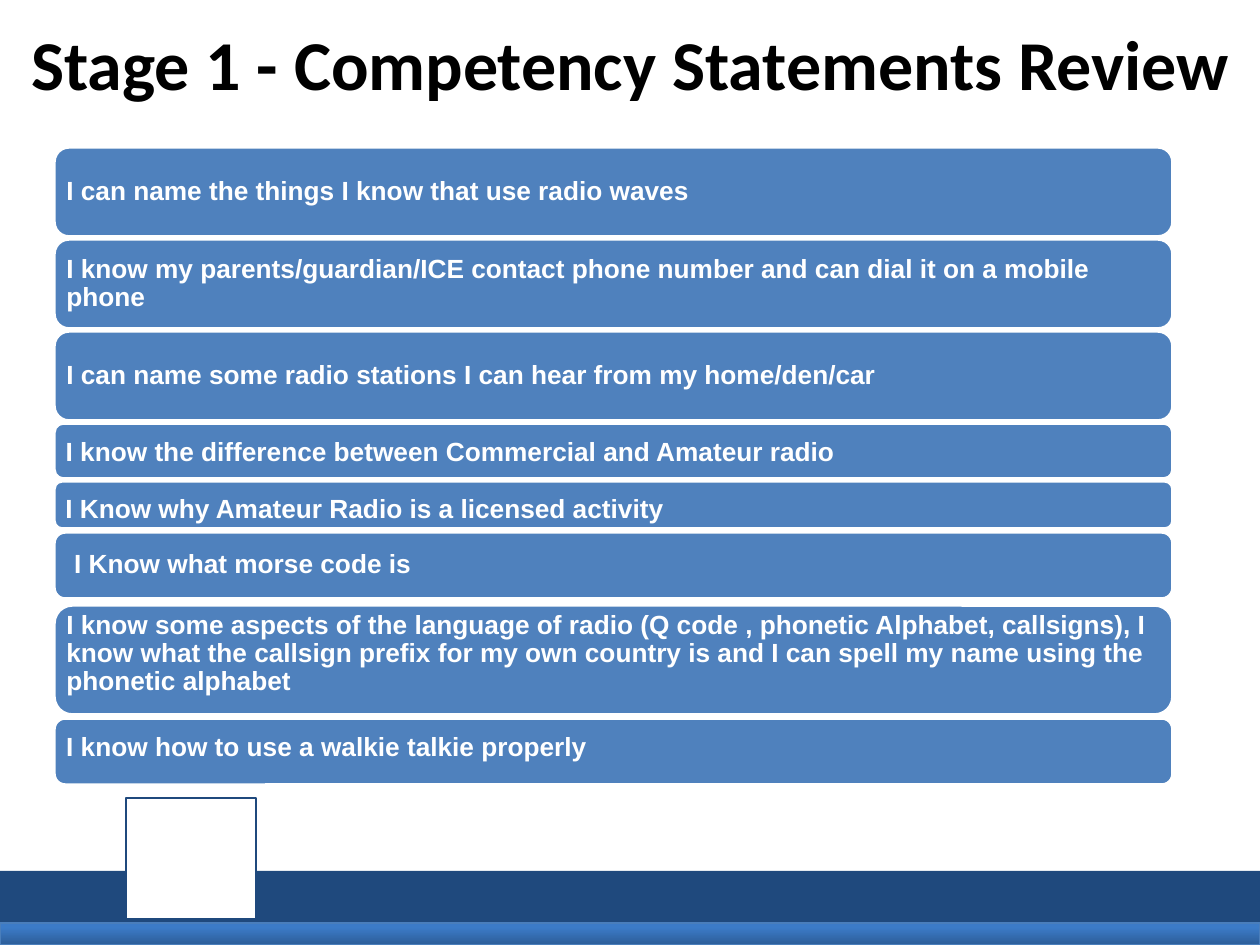
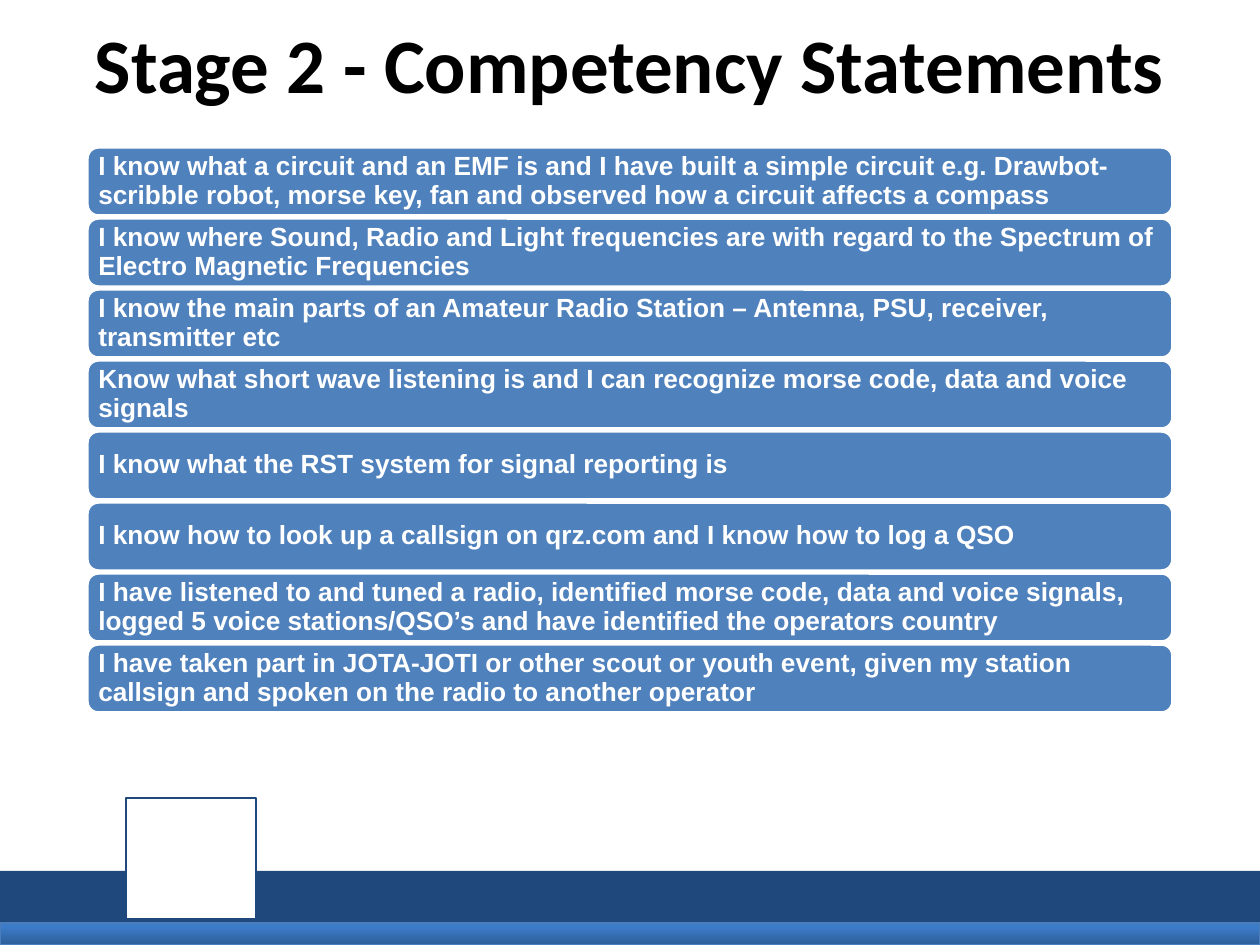
from dataclasses import dataclass

from pptx import Presentation
from pptx.dml.color import RGBColor as Rgb
from pptx.enum.shapes import MSO_SHAPE as Kind
from pptx.enum.text import MSO_ANCHOR as Anchor
from pptx.enum.text import MSO_AUTO_SIZE as Fit
from pptx.enum.text import PP_ALIGN as Align
from pptx.shapes.autoshape import Shape
from pptx.slide import Slide
from pptx.text.text import TextFrame
from pptx.util import Emu, Pt

SCALE = 914400 / 126
WIDTH, HEIGHT = 1260, 945
TOP = 147
INSET = 8
TITLE_ONLY = 5

WHITE = Rgb(0xFF, 0xFF, 0xFF)
BLACK = Rgb(0x00, 0x00, 0x00)
BLUE = Rgb(0x4F, 0x81, 0xBD)
NAVY = Rgb(0x1F, 0x49, 0x7D)
EDGE = Rgb(0x4A, 0x7E, 0xBB)
LIGHT = Rgb(0x3C, 0x7B, 0xC7)
DEEP = Rgb(0x2C, 0x5D, 0x98)


@dataclass(frozen=True)
class Bar:
    text: str
    high: int = 69
    gap: int = 2
    right: int = 0
    down: int = 0


@dataclass(frozen=True)
class Page:
    title: str
    size: int
    left: int
    wide: int
    bars: tuple[Bar, ...]


PAGES = (
    Page("Stage 1 - Competency Statements Review", 40, 54, 1119, (
        Bar("I can name the things I know that use radio waves", 90),
        Bar("I know my parents/guardian/ICE contact phone number and can dial it "
            "on a mobile phone", 90),
        Bar("I can name some radio stations I can hear from my home/den/car", 90),
        Bar("I know the difference between Commercial and Amateur radio", 56,
            right=1, down=2),
        Bar("I Know why Amateur Radio is a licensed activity", 48, gap=3,
            right=1, down=5),
        Bar("I Know what morse code is", 67, gap=6, right=9),
        Bar("I know some aspects of the language of radio (Q code , phonetic "
            "Alphabet, callsigns), I know what the callsign prefix for my own "
            "country is and I can spell my name using the phonetic alphabet",
            110, gap=3, right=-1, down=-6),
        Bar("I know how to use a walkie talkie properly", 67, right=1, down=-4),
    )),
    Page("Stage 2 - Competency Statements", 44, 87, 1086, (
        Bar("I know what a circuit and an EMF is and I have built a simple "
            "circuit e.g. Drawbot-scribble robot, morse key, fan and observed "
            "how a circuit affects a compass"),
        Bar("I know where Sound, Radio and Light frequencies are with regard to "
            "the Spectrum of Electro Magnetic Frequencies"),
        Bar("I know the main parts of an Amateur Radio Station – Antenna, PSU, "
            "receiver, transmitter etc"),
        Bar("Know what short wave listening is and I can recognize morse code, "
            "data and voice signals"),
        Bar("I know what the RST system for signal reporting is"),
        Bar("I know how to look up a callsign on qrz.com and I know how to log "
            "a QSO"),
        Bar("I have listened to and tuned a radio, identified morse code, data "
            "and voice signals, logged 5 voice stations/QSO’s and have "
            "identified the operators country"),
        Bar("I have taken part in JOTA-JOTI or other scout or youth event, given "
            "my station callsign and spoken on the radio to another operator"),
    )),
)


def px(count: int) -> Emu:
    return Emu(round(count * SCALE))


def write(frame: TextFrame, text: str, *, font: str, size: int, color: Rgb,
          align: Align, space: float = 1.0) -> None:
    frame.word_wrap = True
    frame.auto_size = Fit.NONE
    frame.vertical_anchor = Anchor.MIDDLE
    frame.text = text
    para = frame.paragraphs[0]
    para.alignment = align
    para.line_spacing = space
    para.font.name = font
    para.font.size = Pt(size)
    para.font.bold = True
    para.font.color.rgb = color


def block(slide: Slide, kind: Kind, left: int, top: int, wide: int, high: int,
          fill: Rgb, line: Rgb | None = None, weight: float = 0.75) -> Shape:
    shape = slide.shapes.add_shape(kind, px(left), px(top), px(wide), px(high))
    shape.shadow.inherit = False
    shape.fill.solid()
    shape.fill.fore_color.rgb = fill
    if line is None:
        shape.line.fill.background()
    else:
        shape.line.color.rgb = line
        shape.line.width = Pt(weight)
    return shape


def footer(slide: Slide) -> None:
    block(slide, Kind.RECTANGLE, 0, 871, WIDTH, 53, NAVY)
    strip = block(slide, Kind.RECTANGLE, 0, 923, WIDTH, 22, LIGHT, EDGE)
    strip.fill.gradient()
    strip.fill.gradient_angle = 270
    for stop, color, place in zip(strip.fill.gradient_stops, (LIGHT, DEEP), (0.2, 1)):
        stop.color.rgb = color
        stop.position = place
    block(slide, Kind.RECTANGLE, 126, 798, 130, 121, WHITE, NAVY)


def heading(slide: Slide, page: Page) -> None:
    title = slide.shapes.title
    title.left, title.top = px(0), px(0)
    title.width, title.height = px(WIDTH), px(126)
    write(title.text_frame, page.title, font="Calibri", size=page.size,
          color=BLACK, align=Align.CENTER)


def stack(slide: Slide, page: Page) -> None:
    top = TOP
    for bar in page.bars:
        shape = block(slide, Kind.ROUNDED_RECTANGLE, page.left, top, page.wide,
                      bar.high, BLUE, WHITE, 2)
        frame = shape.text_frame
        frame.margin_left = px(INSET + bar.right)
        frame.margin_right = px(INSET)
        frame.margin_top = px(max(0, 2 * bar.down))
        frame.margin_bottom = px(max(0, -2 * bar.down))
        write(frame, bar.text, font="Arial", size=15, color=WHITE,
              align=Align.LEFT, space=0.9)
        top += bar.high + bar.gap


def main() -> None:
    deck = Presentation()
    deck.slide_width, deck.slide_height = px(WIDTH), px(HEIGHT)
    for page in PAGES:
        slide = deck.slides.add_slide(deck.slide_layouts[TITLE_ONLY])
        footer(slide)
        heading(slide, page)
        stack(slide, page)
    deck.save("out.pptx")


if __name__ == "__main__":
    main()
